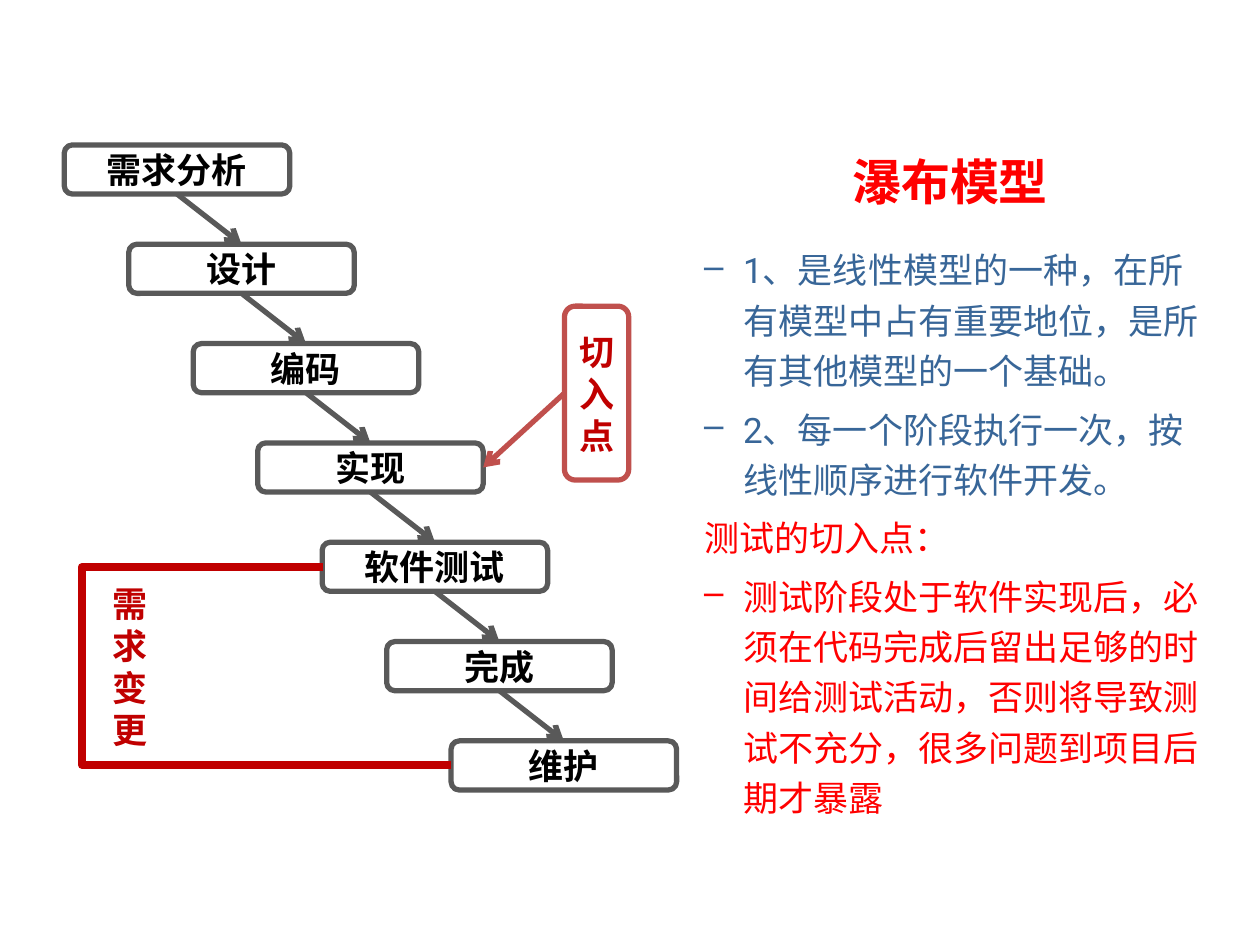
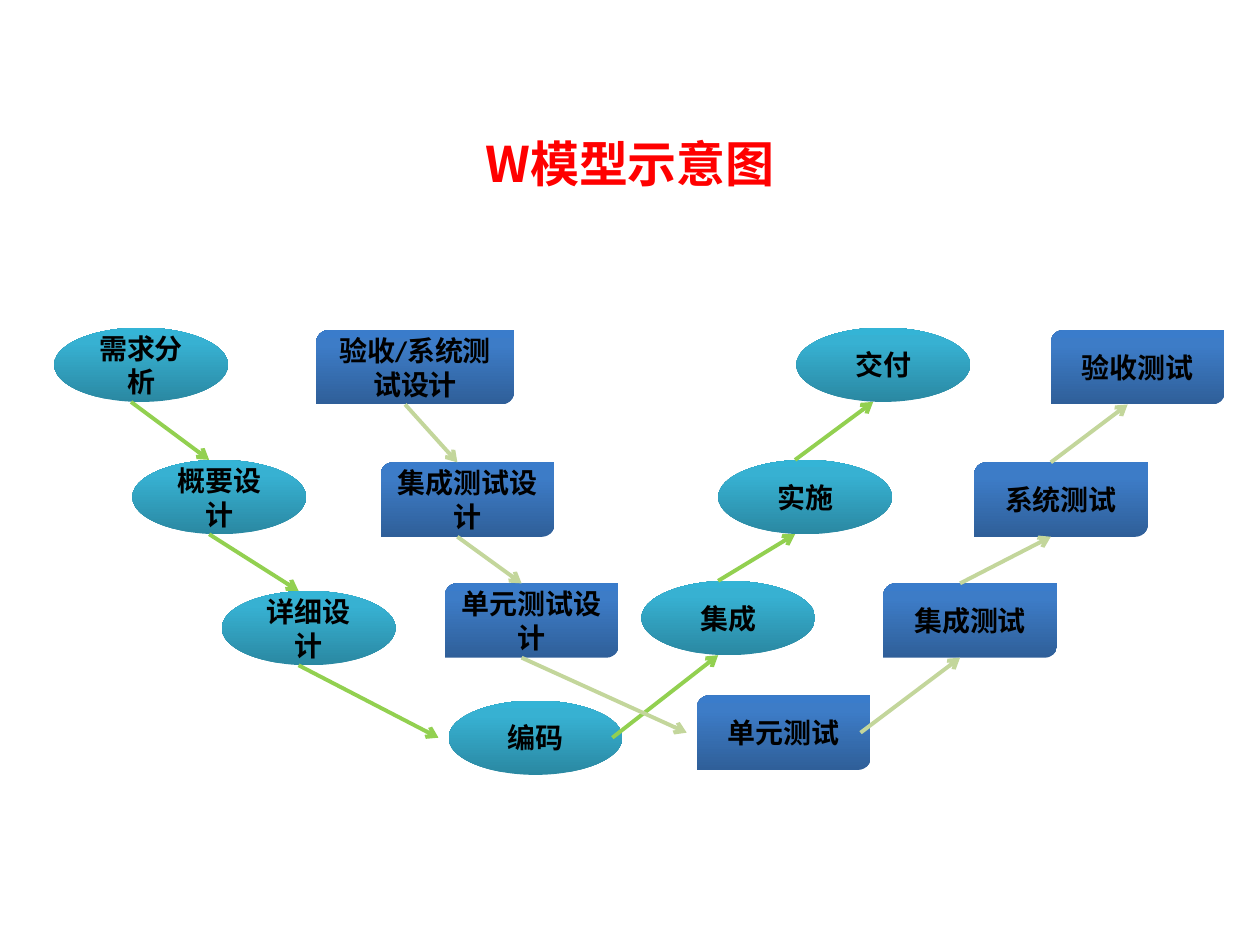
from lxml.etree import SubElement
from pptx import Presentation
from pptx.dml.color import RGBColor
from pptx.enum.shapes import MSO_CONNECTOR, MSO_SHAPE
from pptx.enum.text import MSO_ANCHOR, MSO_AUTO_SIZE, PP_ALIGN
from pptx.oxml.ns import qn
from pptx.util import Inches, Pt

# Shared look
CJK_FONT, NODE_FONT, BODY_FONT = "Noto Sans CJK SC", "Calibri", "Roboto"
RED, DARK_RED, SOFT_RED = "FF0000", "C00000", "C0504D"
BLACK, WHITE, GREY, BODY_BLUE = "000000", "FFFFFF", "595959", "386698"
LIME, SAGE = "92D050", "C3D69B"
TEAL_GRADIENT = [(0, "2A88A2"), (80, "37B1D2"), (100, "34B4D6")]
BLUE_GRADIENT = [(0, "2F5F99"), (80, "3D7CC7"), (100, "3A7CCB")]

# Waterfall grid
STAGES = ["需求分析", "设计", "编码", "实现", "软件测试", "完成", "维护"]
STAGE_W, STAGE_H = 1.79, 0.39
FIRST_STAGE, LAST_STAGE = (0.51, 1.15), (3.58, 5.88)

# W model: (text, left, top, width), following the arrows
NODE_W, NODE_H = 1.38, 0.59
ARROW_SHIFT = 0.08
DEVELOPMENT = [
    ("需求分析", 0.43, 2.6, NODE_W),
    ("概要设计", 1.05, 3.65, NODE_W),
    ("详细设计", 1.76, 4.69, NODE_W),
    ("编码", 3.56, 5.56, NODE_W),
    ("集成", 5.09, 4.61, NODE_W),
    ("实施", 5.7, 3.65, NODE_W),
    ("交付", 6.32, 2.6, NODE_W),
]
TESTING = [
    ("验收/系统测试设计", 2.51, 2.62, 1.57),
    ("集成测试设计", 3.02, 3.67, NODE_W),
    ("单元测试设计", 3.53, 4.63, NODE_W),
    ("单元测试", 5.53, 5.52, NODE_W),
    ("集成测试", 7.01, 4.63, NODE_W),
    ("系统测试", 7.73, 3.67, NODE_W),
    ("验收测试", 8.34, 2.62, NODE_W),
]

# (text, colour, bulleted)
NOTES = [
    ("1、是线性模型的一种，在所有模型中占有重要地位，是所有其他模型的一个基础。", BODY_BLUE, True),
    ("2、每一个阶段执行一次，按线性顺序进行软件开发。", BODY_BLUE, True),
    ("测试的切入点：", RED, False),
    ("测试阶段处于软件实现后，必须在代码完成后留出足够的时间给测试活动，"
     "否则将导致测试不充分，很多问题到项目后期才暴露", RED, True),
]


def rgb(hex_colour):
    return RGBColor.from_string(hex_colour)


def write(paragraph, text, size=20, color=BLACK, font=NODE_FONT, bold=True,
          align=PP_ALIGN.CENTER):
    paragraph.alignment = align
    run = paragraph.add_run()
    run.text = text
    run.font.size, run.font.bold, run.font.name = Pt(size), bold, font
    run.font.color.rgb = rgb(color)
    SubElement(run.font._element, qn("a:ea"), typeface=CJK_FONT)


def add_titled_slide(deck, title, left, top, width, height):
    slide = deck.slides.add_slide(deck.slide_layouts[5])
    heading = slide.shapes.title
    heading.left, heading.top = Inches(left), Inches(top)
    heading.width, heading.height = Inches(width), Inches(height)
    frame = heading.text_frame
    frame.vertical_anchor = MSO_ANCHOR.MIDDLE
    frame.auto_size = MSO_AUTO_SIZE.NONE
    write(frame.paragraphs[0], title, size=28, color=RED, font=CJK_FONT)
    return slide


def fill_gradient(shape, stops):
    shape.fill.gradient()
    shape.fill.gradient_angle = 90
    stop_list = shape.element.spPr.find(".//" + qn("a:gsLst"))
    for old_stop in list(stop_list):
        stop_list.remove(old_stop)
    for percent, color in stops:
        stop = SubElement(stop_list, qn("a:gs"), pos=str(percent * 1000))
        SubElement(stop, qn("a:srgbClr"), val=color)


def add_node(slide, preset, box, lines, outline=None, gradient=None, **text_format):
    node = slide.shapes.add_shape(preset, *map(Inches, box))
    node.shadow.inherit = False
    if gradient:
        fill_gradient(node, gradient)
    else:
        node.fill.solid()
        node.fill.fore_color.rgb = rgb(WHITE)
    if outline:
        node.line.color.rgb = rgb(outline)
        node.line.width = Pt(3)
    else:
        node.line.fill.background()
    frame = node.text_frame
    frame.word_wrap = True
    frame.vertical_anchor = MSO_ANCHOR.MIDDLE
    for i, line in enumerate(lines):
        paragraph = frame.add_paragraph() if i else frame.paragraphs[0]
        write(paragraph, line, **text_format)
    return node


def add_line(slide, start, end, color, width, kind=MSO_CONNECTOR.STRAIGHT, arrow=True):
    line = slide.shapes.add_connector(kind, *map(Inches, (*start, *end)))
    line.line.color.rgb = rgb(color)
    line.line.width = Pt(width)
    if arrow:
        SubElement(line.element.spPr.find(qn("a:ln")), qn("a:tailEnd"), type="arrow")
    SubElement(line.element.spPr, qn("a:effectLst"))
    return line


def join(slide, source, source_side, target, target_side, color):
    line = add_line(slide, (0, 0), (1, 1), color, 3)
    line.begin_connect(source, source_side)
    line.end_connect(target, target_side)


def add_notes_column(slide):
    box = slide.shapes.add_textbox(Inches(4.99), Inches(1.86), Inches(4.65), Inches(5.08))
    frame = box.text_frame
    frame.word_wrap = True
    for i, (text, color, bulleted) in enumerate(NOTES):
        paragraph = frame.add_paragraph() if i else frame.paragraphs[0]
        write(paragraph, text, color=color, font=BODY_FONT, bold=False, align=PP_ALIGN.LEFT)
        paragraph.line_spacing = 1.2
        paragraph.space_before = Pt(4.5)
        properties = paragraph._p.get_or_add_pPr()
        properties.set("marL", str(Inches(0.81 if bulleted else 0.5)))
        properties.set("indent", str(Inches(-0.31 if bulleted else 0)))
        if bulleted:
            SubElement(properties, qn("a:buChar"), char="–")


def add_waterfall(slide):
    steps = len(STAGES) - 1
    step_x, step_y = ((last - first) / steps for first, last in zip(FIRST_STAGE, LAST_STAGE))
    stages = []
    for i, name in enumerate(STAGES):
        box = (FIRST_STAGE[0] + i * step_x, FIRST_STAGE[1] + i * step_y, STAGE_W, STAGE_H)
        stages.append(add_node(slide, MSO_SHAPE.ROUNDED_RECTANGLE, box, [name], outline=GREY))
    for upper, lower in zip(stages, stages[1:]):
        join(slide, upper, 2, lower, 0, GREY)

    # Where testing cuts in
    entry_point = add_node(slide, MSO_SHAPE.ROUNDED_RECTANGLE, (4.48, 2.43, 0.51, 1.38),
                           ["切入点"], outline=SOFT_RED, color=DARK_RED)
    join(slide, entry_point, 1, stages[3], 3, SOFT_RED)

    # Requirement change loop, bending out to the left
    add_node(slide, MSO_SHAPE.ROUNDED_RECTANGLE, (0.77, 4.6, 0.51, 1.38),
             list("需求变更"), color=DARK_RED)
    start, end, bend_x = (2.56, 4.5), (3.58, 6.07), 0.65
    loop = add_line(slide, start, end, DARK_RED, 4.5, MSO_CONNECTOR.ELBOW, arrow=False)
    bend = round((bend_x - start[0]) / (end[0] - start[0]) * 100000)
    guides = loop.element.spPr.find(".//" + qn("a:avLst"))
    SubElement(guides, qn("a:gd"), name="adj1", fmla=f"val {bend}")


def side_point(node, side):
    _, left, top, width = node
    x, y = {"top": (width / 2, 0), "bottom": (width / 2, NODE_H),
            "left": (0, NODE_H / 2), "right": (width, NODE_H / 2)}[side]
    return left + x - ARROW_SHIFT, top + y


def add_v_chain(slide, nodes, preset, gradient, arrow_color):
    for text, left, top, width in nodes:
        add_node(slide, preset, (left, top, width, NODE_H), [text], gradient=gradient, size=16)
    # Down to the lowest node, through it, and up again
    sides = [("bottom", "top")] * 2 + [("bottom", "left"), ("right", "bottom")]
    sides += [("top", "bottom")] * 2
    for source, target, (leave, arrive) in zip(nodes, nodes[1:], sides):
        add_line(slide, side_point(source, leave), side_point(target, arrive), arrow_color, 2.25)


def main():
    deck = Presentation()
    deck.slide_width, deck.slide_height = Inches(10), Inches(7.5)

    waterfall = add_titled_slide(deck, "瀑布模型", 5.74, 1.02, 3.6, 0.83)
    add_notes_column(waterfall)
    add_waterfall(waterfall)

    w_model = add_titled_slide(deck, "W模型示意图", 1.89, 0.86, 6.22, 0.87)
    add_v_chain(w_model, DEVELOPMENT, MSO_SHAPE.OVAL, TEAL_GRADIENT, LIME)
    add_v_chain(w_model, TESTING, MSO_SHAPE.ROUND_2_DIAG_RECTANGLE, BLUE_GRADIENT, SAGE)

    deck.save("out.pptx")


if __name__ == "__main__":
    main()
